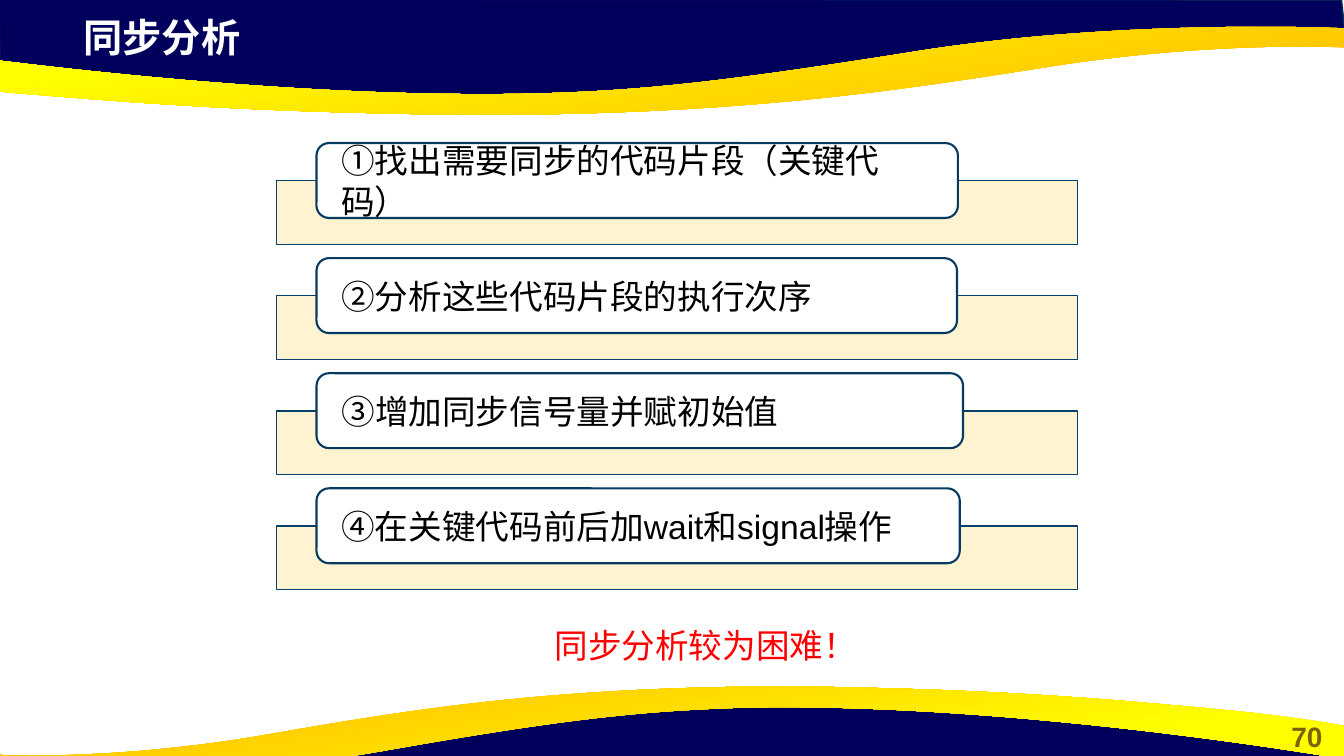
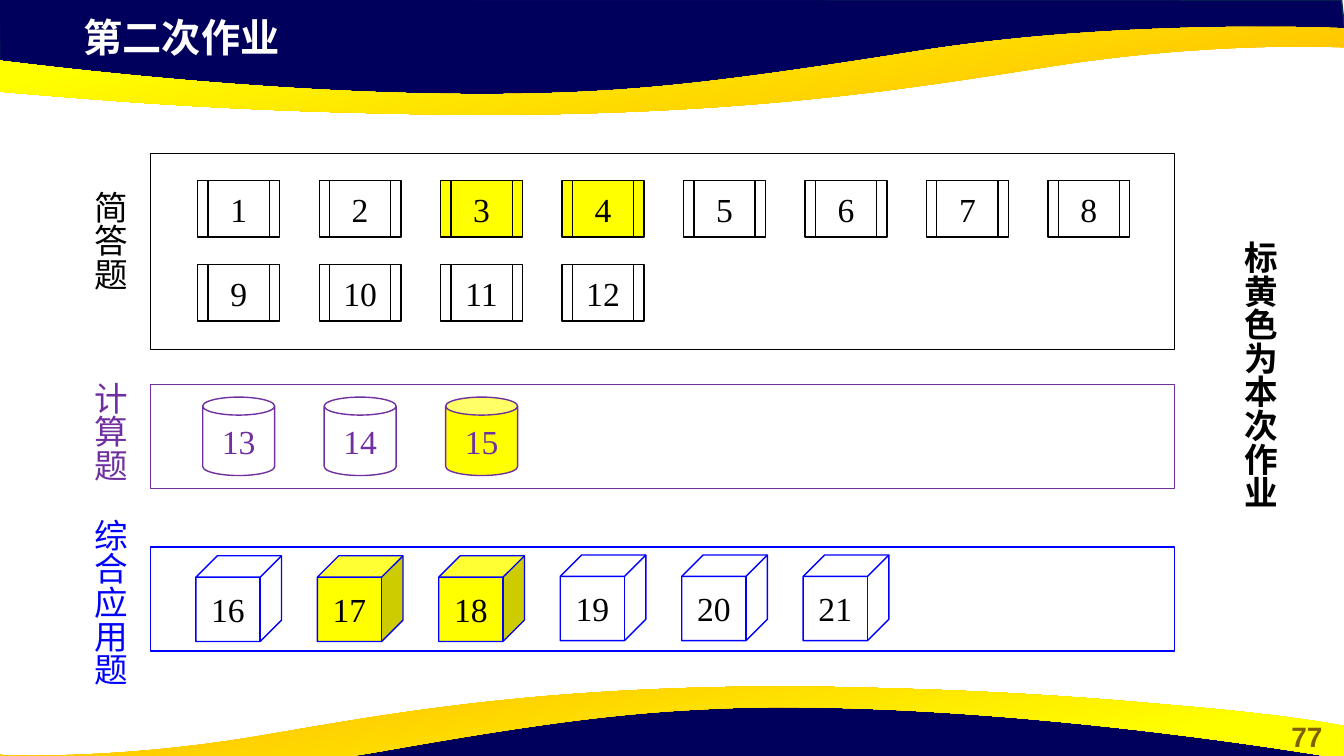
from lxml.etree import SubElement
from pptx import Presentation
from pptx.dml.color import RGBColor
from pptx.enum.shapes import MSO_SHAPE
from pptx.enum.text import MSO_ANCHOR, MSO_AUTO_SIZE, PP_ALIGN
from pptx.oxml.ns import qn
from pptx.util import Pt

NAVY, NAVY_EDGE, GOLD, YELLOW = "00005C", "05304F", "FFC000", "FFFF00"
WHITE, BLACK, RED, PURPLE, BLUE = "FFFFFF", "000000", "FF0000", "7030A0", "0000FF"
CREAM, BAR_EDGE, STEP_EDGE, NUMBER = "FFF2CC", "07416B", "063B61", "806000"
CJK = "Noto Sans CJK SC"


def write(tf, text, size, color, font="Arial", bold=False, align=PP_ALIGN.LEFT):
    tf.text = text
    p = tf.paragraphs[0]
    p.alignment = align
    r = p.runs[0]
    r.font.size = Pt(size)
    r.font.bold = bold
    r.font.color.rgb = RGBColor.from_string(color)
    r.font.name = font
    SubElement(r.font._element, qn("a:ea")).set("typeface", font)


def add_box(s, kind, x, y, w, h, line, fill=None, width=1):
    sp = s.shapes.add_shape(kind, Pt(x), Pt(y), Pt(w), Pt(h))
    sp.shadow.inherit = False
    if fill:
        sp.fill.solid()
        sp.fill.fore_color.rgb = RGBColor.from_string(fill)
    else:
        sp.fill.background()
    sp.line.color.rgb = RGBColor.from_string(line)
    sp.line.width = Pt(width)
    sp.text_frame.vertical_anchor = MSO_ANCHOR.MIDDLE
    return sp


prs = Presentation()
prs.slide_width, prs.slide_height = Pt(960), Pt(540)
layout = prs.slide_layouts[5]
title = layout.placeholders[0]
title.left, title.top, title.width, title.height = Pt(52.6), Pt(6.2), Pt(553), Pt(41)

slides = []
for heading, number in [("同步分析", "70"), ("第二次作业", "77")]:
    s = prs.slides.add_slide(layout)
    tf = s.shapes.title.text_frame
    write(tf, heading, 28, WHITE, bold=True)
    tf.auto_size = MSO_AUTO_SIZE.NONE
    tf.vertical_anchor = MSO_ANCHOR.TOP
    sp = s.shapes.add_textbox(Pt(907.2), Pt(510.7), Pt(52.6), Pt(31.5))
    sp.text_frame.word_wrap = True
    write(sp.text_frame, number, 20, NUMBER, bold=True, align=PP_ALIGN.CENTER)
    slides.append(s)
analysis, homework = slides

bands = [
    (None, [(-0.7, -0.7), (0, 50.4), (211, 73.4), (402.5, 72), (572.4, 63.4),
            (731.5, 36), (891.4, 23.8), (961.2, 27.4), (958.3, 0)]),
    (100, [(347.8, 82.1), (319, 82.1, 288.7, 81.4, 256.3, 80.6),
           (148.3, 77.8, 79.2, 72, 25.9, 67.7), (-63.4, 60.5, -93.6, 54, -95.8, 54),
           (-95.8, 30.2), (-95.8, 30.2, 157, 70.6, 372.2, 67),
           (450.7, 65.5, 509.8, 59.8, 658.8, 36), (807.1, 13, 959.8, 20.2, 959.8, 20.2),
           (959.8, 33.8), (957.6, 33.8), (939.6, 33.1, 860.4, 31, 759.6, 46.1),
           (661, 61.2, 548.6, 81.4, 347.8, 82.1)]),
    (None, [(959.8, 571.7), (959, 521.3), (748.8, 497.5), (556.6, 499), (387.4, 508.3),
            (228.2, 535), (68.4, 547.2), (-2.2, 544.3), (0.7, 571)]),
    (280, [(555.8, 490.3), (582.5, 490.3, 609.8, 491, 639.4, 491.8),
           (738, 494.6, 800.6, 500.4, 848.9, 504.7), (930.2, 511.9, 957.6, 518.4, 959.8, 518.4),
           (959.8, 542.2), (959.8, 542.2, 730.1, 501.8, 534.2, 505.4),
           (462.2, 507.6, 408.2, 512.6, 273.6, 536.4), (138.2, 560.2, -0.7, 553, -0.7, 553),
           (-0.7, 538.6), (1.4, 539.3), (18, 540, 90, 541.4, 181.4, 526.3),
           (270.7, 511.2, 373.7, 491, 555.8, 490.3)]),
]
for i, (angle, edges) in enumerate(bands):
    points = [(edge[-2] * 10, edge[-1] * 10) for edge in edges]
    builder = analysis.shapes.build_freeform(*points[0], scale=Pt(0.1))
    builder.add_line_segments(points[1:], close=True)
    sp = builder.convert_to_shape()
    left, top = (min(values) for values in zip(*points))
    for edge, segment in zip(edges[1:], list(sp.element.iter(qn("a:lnTo")))):
        if len(edge) == 6:
            segment.tag = qn("a:cubicBezTo")
            for k in (0, 1):
                control = SubElement(segment, qn("a:pt"))
                control.set("x", str(round(edge[2 * k] * 10 - left)))
                control.set("y", str(round(edge[2 * k + 1] * 10 - top)))
                segment.insert(k, control)
    sp.shadow.inherit = False
    if angle is None:
        sp.fill.solid()
        sp.fill.fore_color.rgb = RGBColor.from_string(NAVY)
        sp.line.color.rgb = RGBColor.from_string(NAVY_EDGE)
        sp.line.width = Pt(1)
    else:
        sp.fill.gradient()
        sp.fill.gradient_angle = angle
        for stop, color, position in zip(sp.fill.gradient_stops, (GOLD, YELLOW), (0.11, 0.78)):
            stop.color.rgb = RGBColor.from_string(color)
            stop.position = position
        sp.line.fill.background()
    sp.element.nvSpPr.cNvPr.id = 101 + i
    layout.shapes.element.insert(2 + i, sp.element)

steps = [
    ("①找出需要同步的代码片段（关键代码）", 458.2),
    ("②分析这些代码片段的执行次序", 457.5),
    ("③增加同步信号量并赋初始值", 461.8),
    ("④在关键代码前后加wait和signal操作", 459.5),
]
for i, (text, width) in enumerate(steps):
    y = 102.2 + 82.2 * i
    bar = add_box(analysis, MSO_SHAPE.RECTANGLE, 197.4, y + 26.9, 572.4, 45.4, BAR_EDGE, CREAM)
    color = bar.element.spPr.find(qn("a:solidFill"))[0]
    SubElement(color, qn("a:alpha")).set("val", "90000")
    sp = add_box(analysis, MSO_SHAPE.ROUNDED_RECTANGLE, 226.1, y, width, 53.5, STEP_EDGE, WHITE, 1.5)
    tf = sp.text_frame
    tf.margin_left = tf.margin_right = Pt(15.2)
    tf.margin_top = tf.margin_bottom = Pt(0)
    write(tf, text, 24, BLACK)

sp = analysis.shapes.add_textbox(Pt(389), Pt(446), Pt(278), Pt(39))
sp.text_frame.word_wrap = True
write(sp.text_frame, "同步分析较为困难！", 24, RED)
sp.text_frame.paragraphs[0].line_spacing = 0.9

labels = [
    ("简答题", 52.6, 129, 80, BLACK, False),
    ("计算题", 52.6, 265.7, 80, PURPLE, False),
    ("综合应用题", 52.6, 363.5, 128, BLUE, False),
    ("标黄色为本次作业", 874, 165, 201, BLACK, True),
]
for text, x, y, h, color, bold in labels:
    sp = homework.shapes.add_textbox(Pt(x), Pt(y), Pt(44), Pt(h))
    tf = sp.text_frame
    tf.word_wrap = False
    tf._bodyPr.set("vert", "eaVert")
    write(tf, text, 24, color, CJK, bold)

for y, h, color in [(109.5, 140, BLACK), (274.5, 74.5, PURPLE), (390.8, 74.2, BLUE)]:
    add_box(homework, MSO_SHAPE.RECTANGLE, 107.4, y, 731.4, h, color)

rows = [
    (MSO_SHAPE.FLOWCHART_PREDEFINED_PROCESS, range(1, 9), 129, 58.4, 40.4, BLACK, BLACK),
    (MSO_SHAPE.FLOWCHART_PREDEFINED_PROCESS, range(9, 13), 189, 58.4, 40.4, BLACK, BLACK),
    (MSO_SHAPE.CAN, range(13, 16), 283.7, 51.4, 56, PURPLE, PURPLE),
    (MSO_SHAPE.CUBE, range(16, 22), 397, 61.2, 61.2, BLUE, BLACK),
]
assigned = {3, 4, 15, 17, 18}
for kind, questions, y, w, h, line, color in rows:
    for i, question in enumerate(questions):
        fill = YELLOW if question in assigned else None
        top = y - 0.6 if question >= 19 else y
        sp = add_box(homework, kind, 170.5 + 86.76 * i - w / 2, top, w, h, line, fill)
        write(sp.text_frame, str(question), 24, color, "Times New Roman", align=PP_ALIGN.CENTER)

prs.save("out.pptx")
